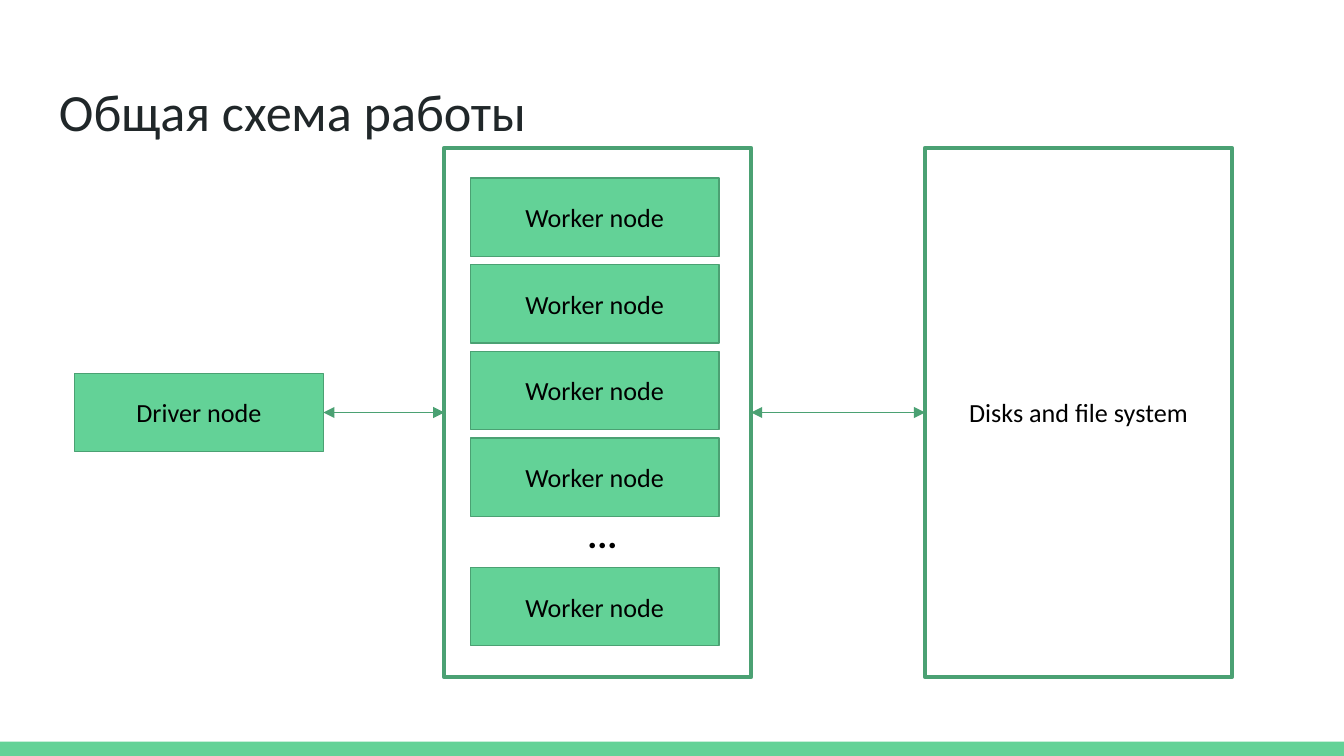
import pptx
import pptx.util
import pptx.dml.color
import pptx.enum.shapes
import pptx.enum.text
import pptx.oxml
import pptx.oxml.ns

Pt = pptx.util.Pt
GREEN, EDGE, DARK, BLACK = "63D297", "4BA173", "202729", "000000"
LEFT = pptx.enum.text.PP_ALIGN.LEFT
MID = pptx.enum.text.PP_ALIGN.CENTER


def color(fmt, code):
    fmt.rgb = pptx.dml.color.RGBColor.from_string(code)


def apply(item, vals):
    for name, val in vals.items():
        setattr(item, name, val)


class Deck:
    """Holds the style and the slide being drawn."""
    font = "Calibri"
    pad = Pt(7.2)

    def __init__(self, wide, high):
        self.prs = pptx.Presentation()
        apply(self.prs, {"slide_width": Pt(wide), "slide_height": Pt(high)})
        self.slide = self.prs.slides.add_slide(self.prs.slide_layouts[6])

    def text(self, shape, words, size, code, align, anchor, bold=False):
        frame = shape.text_frame
        apply(frame, {"word_wrap": True, "vertical_anchor": anchor,
                      "margin_left": self.pad, "margin_right": self.pad,
                      "margin_top": self.pad, "margin_bottom": self.pad})
        para = frame.paragraphs[0]
        para.alignment = align
        run = para.add_run()
        run.text = words
        apply(run.font, {"name": self.font, "size": Pt(size), "bold": bold})
        color(run.font.color, code)

    def label(self, words, area, size, code, bold=False):
        box = self.slide.shapes.add_textbox(*map(Pt, area))
        self.text(box, words, size, code, LEFT,
                  pptx.enum.text.MSO_ANCHOR.TOP, bold)

    def box(self, area, words="", fill=None, line=None):
        kind = pptx.enum.shapes.MSO_SHAPE.RECTANGLE
        box = self.slide.shapes.add_shape(kind, *map(Pt, area))
        box.shadow.inherit = False
        if fill:
            box.fill.solid()
            color(box.fill.fore_color, fill)
        else:
            box.fill.background()
        if line:
            color(box.line.color, EDGE)
            box.line.width = Pt(line)
        else:
            box.line.fill.background()
        if words:
            self.text(box, words, 14, BLACK, MID,
                      pptx.enum.text.MSO_ANCHOR.MIDDLE)
        return box

    def arrow(self, start, end):
        """Join the left side of start to the right side of end."""
        kind = pptx.enum.shapes.MSO_CONNECTOR.STRAIGHT
        link = self.slide.shapes.add_connector(kind, 0, 0, 0, 0)
        link.begin_connect(start, 1)
        link.end_connect(end, 3)
        color(link.line.color, EDGE)
        link.line.width = Pt(0.75)
        space = pptx.oxml.ns.nsdecls("a")
        props = link._element.spPr
        for tag in ("headEnd", "tailEnd"):
            props.ln.append(
                pptx.oxml.parse_xml(f'<a:{tag} {space} type="triangle"/>'))
        props.append(pptx.oxml.parse_xml(f"<a:effectLst {space}/>"))


def main():
    deck = Deck(720, 405)
    deck.box((0, 397.4, 720, 7.6), fill=GREEN)
    deck.label("Общая схема работы", (24.5, 35.4, 671, 45), 28, DARK)

    node = (133.2, 42)
    driver = deck.box((40, 200, *node), "Driver node", GREEN, 0.75)
    tops = [95.4 + 46.4 * row for row in range(4)] + [304]
    for top in tops:
        deck.box((252, top, *node), "Worker node", GREEN, 0.75)
    deck.label("...", (307.6, 266.4, 46.8, 19.4), 20, BLACK, True)

    group = (164.4, 283.6)
    pool = deck.box((238, 79.2, *group), line=2.25)
    disks = deck.box((495.6, 79.2, *group), "Disks and file system", line=2.25)
    deck.arrow(disks, pool)
    deck.arrow(pool, driver)
    deck.prs.save("out.pptx")


if __name__ == "__main__":
    main()
